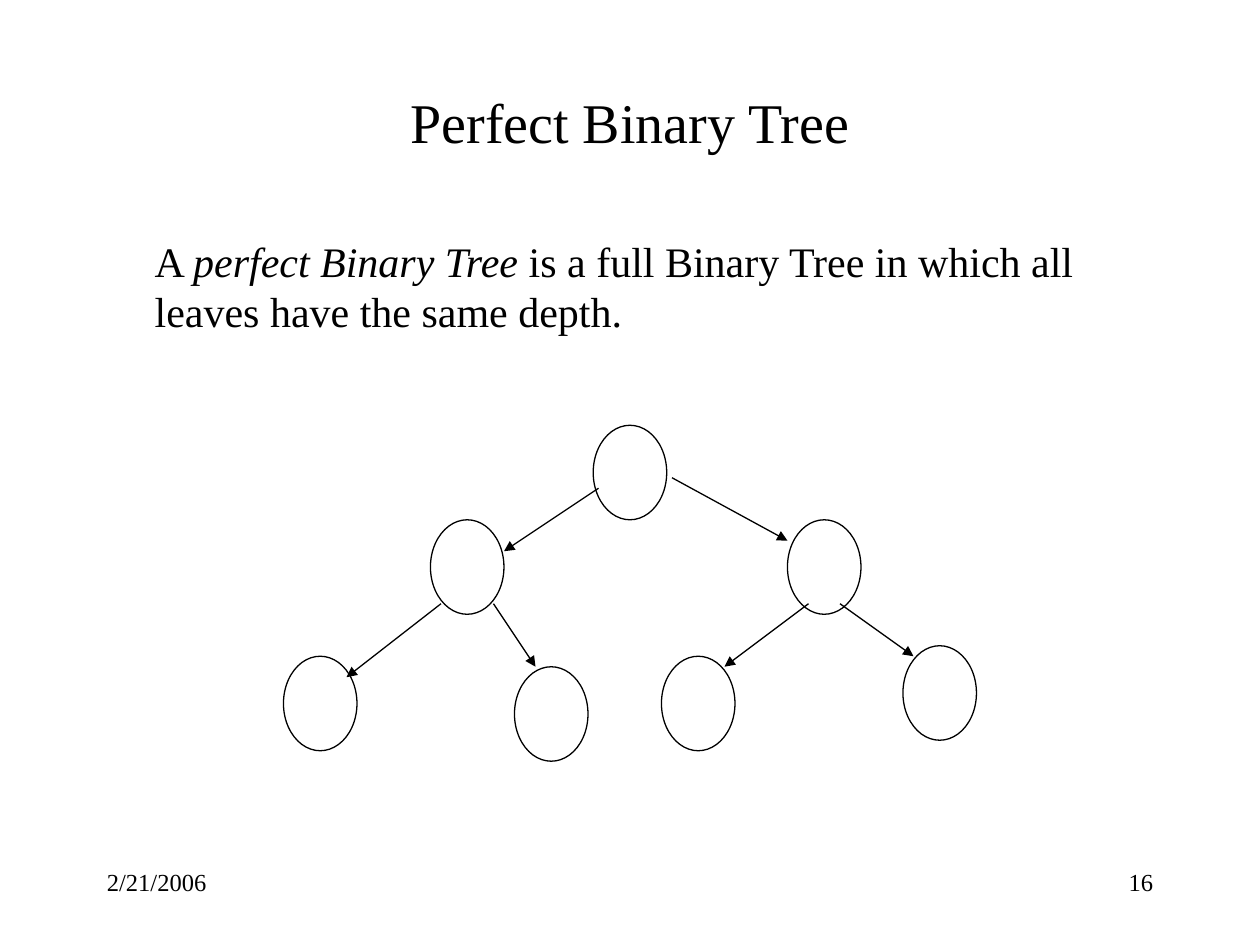
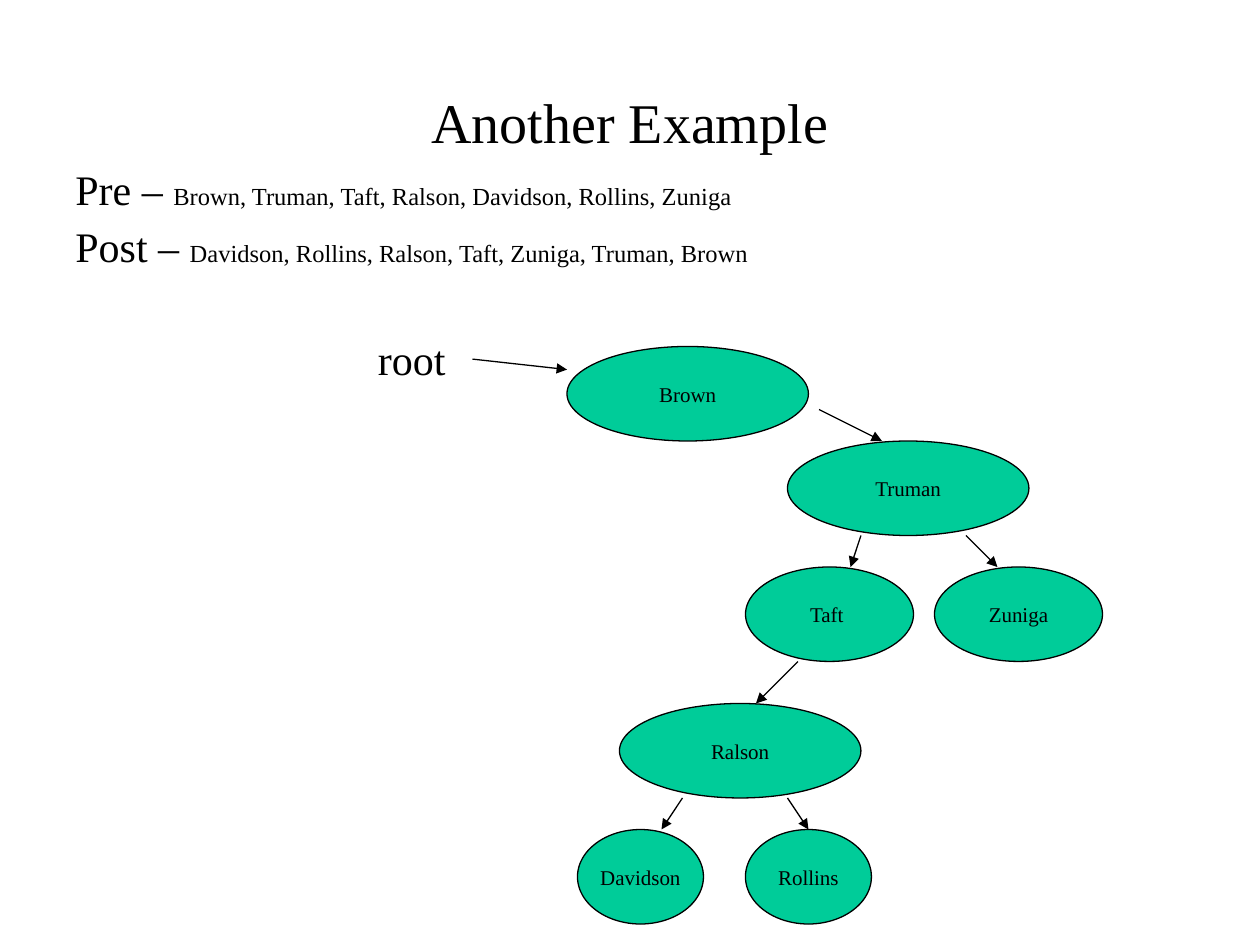
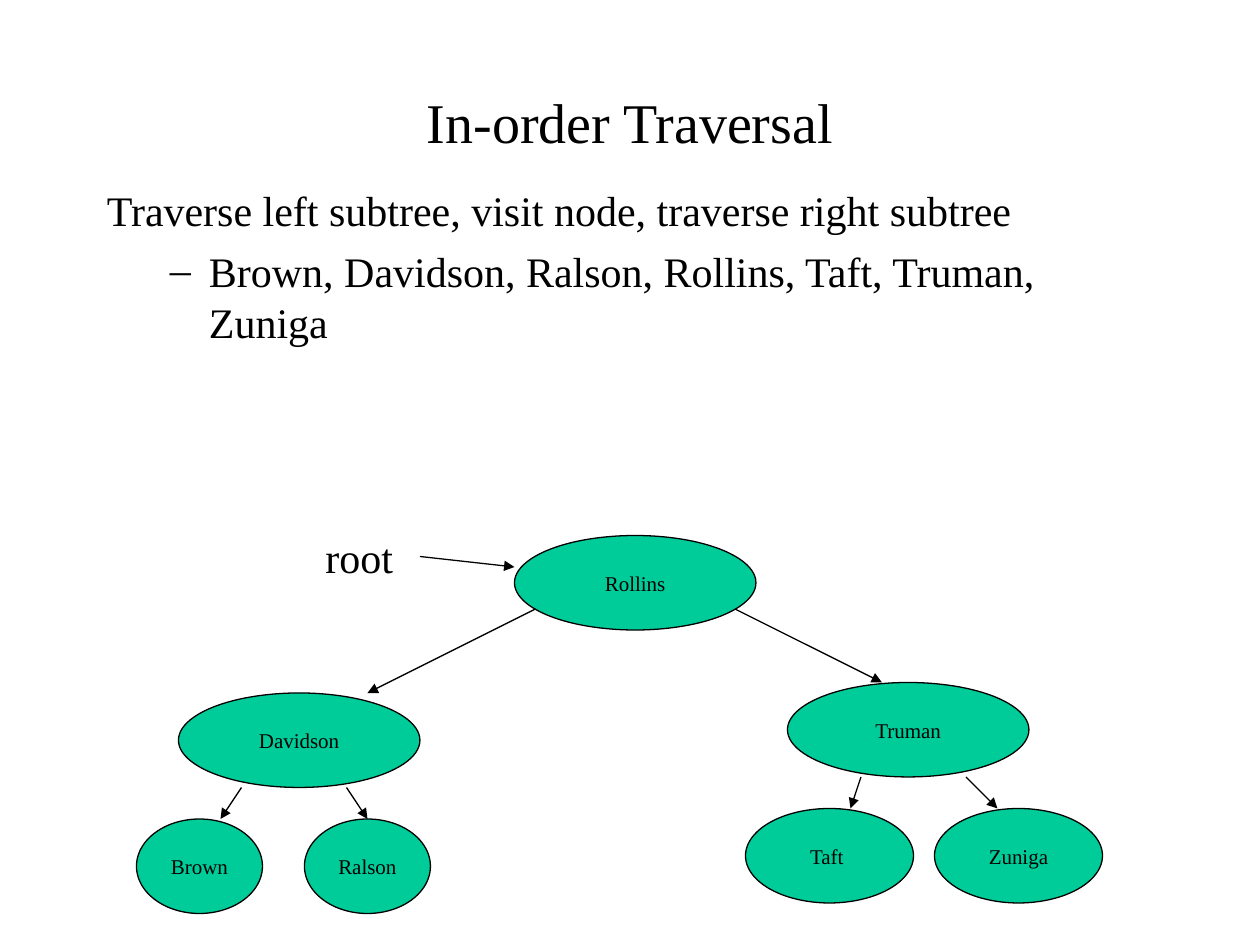
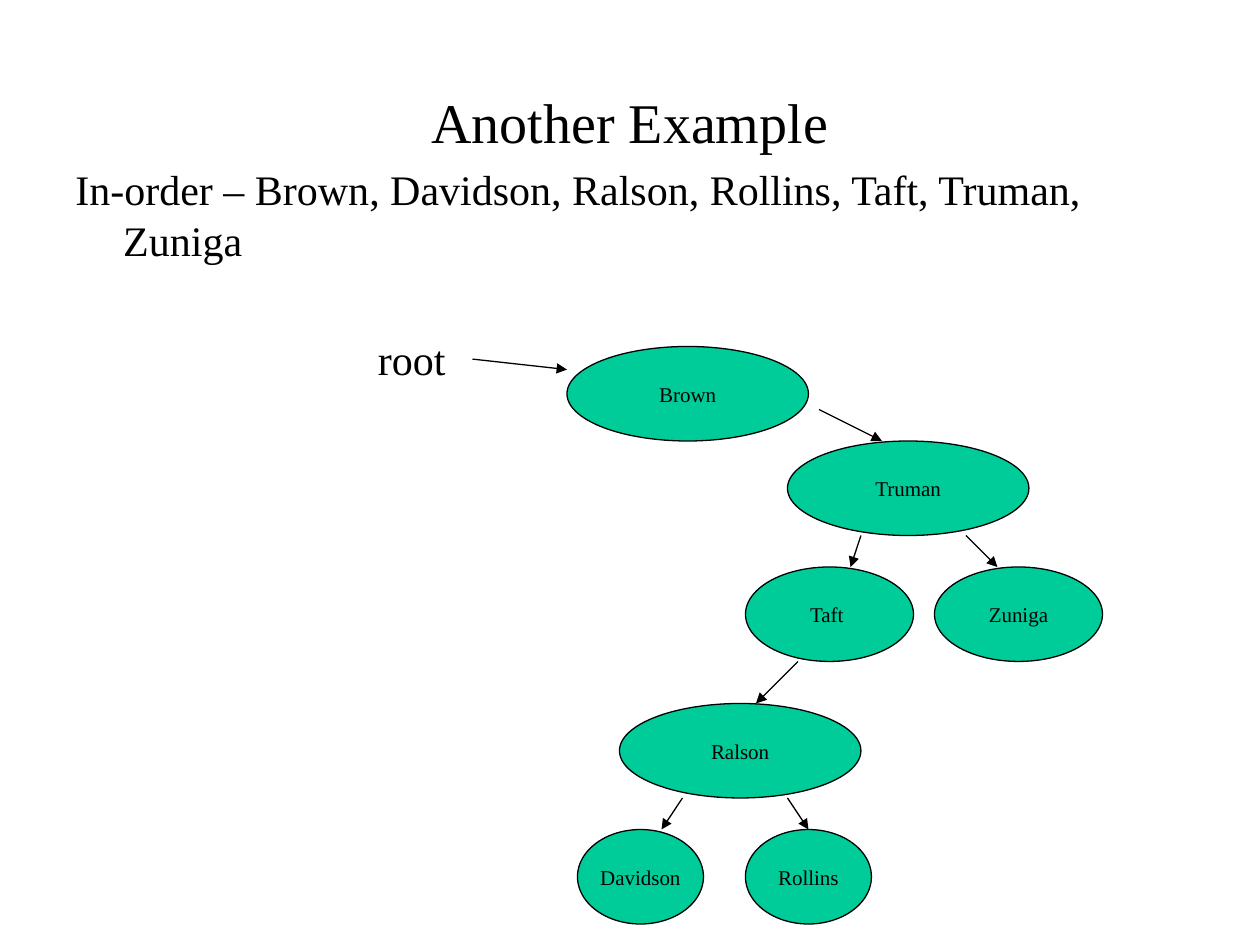
import pptx
import pptx.util
import pptx.dml.color
import pptx.enum.shapes
import pptx.enum.text
import pptx.oxml.ns
import lxml.etree

BLACK = pptx.dml.color.RGBColor(0x00, 0x00, 0x00)
GREEN = pptx.dml.color.RGBColor(0x00, 0xCC, 0x99)
FONT = "Times New Roman"
LEFT, CENTER, RIGHT = (pptx.enum.text.PP_ALIGN.LEFT, pptx.enum.text.PP_ALIGN.CENTER,
                       pptx.enum.text.PP_ALIGN.RIGHT)
TOP, MIDDLE = pptx.enum.text.MSO_ANCHOR.TOP, pptx.enum.text.MSO_ANCHOR.MIDDLE
GROW = pptx.enum.text.MSO_AUTO_SIZE.SHAPE_TO_FIT_TEXT
OVAL = pptx.enum.shapes.MSO_SHAPE.OVAL
STRAIGHT = pptx.enum.shapes.MSO_CONNECTOR.STRAIGHT
LINE_WIDTH = pptx.util.Pt(0.75)

deck = pptx.Presentation()
deck.slide_width = pptx.util.Inches(10)
deck.slide_height = pptx.util.Inches(7.5)

# Every place is given in cells of a grid of 120 columns and 90 rows
CELL = deck.slide_width // 120
NODE_HEIGHT = 9
WIDE, MEDIUM, SMALL = 23, 16, 12


def write(frame, paragraphs, align=LEFT, anchor=TOP, wrap=True, gap=0):
    """Fill a frame; each paragraph is a list of (text, size, italic) runs."""
    frame.word_wrap = wrap
    frame.vertical_anchor = anchor
    for number, runs in enumerate(paragraphs):
        paragraph = frame.add_paragraph() if number else frame.paragraphs[0]
        paragraph.alignment = align
        if number:
            paragraph.space_before = pptx.util.Pt(gap)
        for text, size, italic in runs:
            run = paragraph.add_run()
            run.text = text
            run.font.name = FONT
            run.font.size = pptx.util.Pt(size)
            run.font.italic = italic
            run.font.color.rgb = BLACK


def box(slide, col, row, cols, rows):
    area = [round(cell * CELL) for cell in (col, row, cols, rows)]
    return slide.shapes.add_textbox(*area).text_frame


# Subtrees: (child column shifts, child width, arrows relative to the parent)
SMALL_PAIR = ((-4, 12), SMALL, ((6, 9, 4, 12), (16, 9, 18, 12)))
MEDIUM_PAIR = ((-4, 14), MEDIUM, ((7, 9, 6, 12), (17, 9, 20, 12)))

# Trees: single nodes, single arrows, subtrees, start of the root arrow
perfect_tree = {
    "nodes": [("", col, row, 7) for col, row in (
        (56.5, 40.5), (41, 49.5), (75, 49.5), (27, 62.5), (49, 63.5), (63, 62.5), (86, 61.5))],
    "arrows": [(57, 46.5, 48, 52.5), (42, 57.5, 33, 64.5), (47, 57.5, 51, 63.5),
               (64, 45.5, 75, 51.5), (77, 57.5, 69, 63.5), (80, 57.5, 87, 62.5)],
    "subtrees": [],
    "root": None,
}
name_tree = {
    "nodes": [("Brown", 54, 33, WIDE)],
    "arrows": [(76, 63, 72, 67), (78, 39, 84, 42)],
    "subtrees": [("Truman", 75, 42, "Taft ", "Zuniga", MEDIUM_PAIR),
                 ("Ralson", 59, 67, "Davidson", "Rollins", SMALL_PAIR)],
    "root": (45, 34.2),
}
in_order_tree = {
    "nodes": [("Rollins", 49, 51, WIDE)],
    "arrows": [(51, 58, 35, 66), (70, 58, 84, 65)],
    "subtrees": [("Davidson", 17, 66, "Brown", "Ralson", SMALL_PAIR),
                 ("Truman", 75, 65, "Taft ", "Zuniga", MEDIUM_PAIR)],
    "root": (40, 53),
}

# Slides: title, body area, body paragraphs, gap between paragraphs, tree
lessons = [
    ("Perfect Binary Tree", (9, 17, 102, 18),
     [[("A ", 24, False), ("perfect Binary Tree", 24, True),
       (" is a full Binary Tree in which all leaves have the same depth.", 24, False)]],
     0, perfect_tree),
    ("Another Example", (6, 15, 108, 59.4),
     [[("Pre – ", 24, False),
       ("Brown, Truman, Taft, Ralson, Davidson, Rollins, Zuniga", 14, False)],
      [("Post – ", 24, False),
       ("Davidson, Rollins, Ralson, Taft, Zuniga, Truman, Brown", 14, False)]],
     3.5, name_tree),
    ("In-order Traversal", (9, 17, 102, 63),
     [[("Traverse left subtree, visit node, traverse right subtree", 24, False)],
      [("Brown, Davidson, Ralson, Rollins, Taft, Truman, Zuniga", 24, False)]],
     6, in_order_tree),
    ("Another Example", (6, 15, 108, 59.4),
     [[("In-order – Brown, Davidson, Ralson, Rollins, Taft, Truman, Zuniga", 24, False)]],
     0, name_tree),
]

for title, body_area, body_paragraphs, gap, tree in lessons:
    slide = deck.slides.add_slide(deck.slide_layouts[6])

    # Title and body
    write(box(slide, 9, 8, 102, 7), [[(title, 32, False)]], CENTER, MIDDLE)
    body = box(slide, *body_area)
    write(body, body_paragraphs, gap=gap)

    # Indents: a hanging first line, a dash list or a lowered definition
    for number, paragraph in enumerate(body.paragraphs):
        properties = paragraph._p.get_or_add_pPr()
        margin, indent = 0.38, -0.38
        if tree is perfect_tree:
            indent = 0
            body.margin_top = pptx.util.Inches(0.45)
        elif tree is in_order_tree and number:
            margin, indent = 0.81, -0.31
            lxml.etree.SubElement(properties, pptx.oxml.ns.qn("a:buFont"), typeface=FONT)
            lxml.etree.SubElement(properties, pptx.oxml.ns.qn("a:buChar"), char="–")
        properties.set("marL", str(pptx.util.Inches(margin)))
        properties.set("indent", str(pptx.util.Inches(indent)))

    # Spread the subtrees into nodes and arrows
    nodes, arrows = list(tree["nodes"]), list(tree["arrows"])
    for parent, col, row, left_child, right_child, pair in tree["subtrees"]:
        shifts, child_width, pair_arrows = pair
        nodes.append((parent, col, row, WIDE))
        for child, shift in zip((left_child, right_child), shifts):
            nodes.append((child, col + shift, row + 12, child_width))
        for x1, y1, x2, y2 in pair_arrows:
            arrows.append((col + x1, row + y1, col + x2, row + y2))

    # Root label with its arrow
    if tree["root"]:
        col, row = tree["root"]
        arrows.append((col, row, col + 9, row + 1))
        root_label = box(slide, col - 10.2, row - 3, 9, 6)
        write(root_label, [[("root", 24, False)]], wrap=False)
        root_label.auto_size = GROW

    # Nodes
    for name, col, row, width in nodes:
        area = [round(cell * CELL) for cell in (col, row, width, NODE_HEIGHT)]
        node = slide.shapes.add_shape(OVAL, *area)
        node.shadow.inherit = False
        node.line.color.rgb = BLACK
        node.line.width = LINE_WIDTH
        if name:
            node.fill.solid()
            node.fill.fore_color.rgb = GREEN
            write(node.text_frame, [[(name, 12, False)]], CENTER, MIDDLE, wrap=False)
        else:
            node.fill.background()

    # Arrows
    for ends in arrows:
        arrow = slide.shapes.add_connector(STRAIGHT, *[round(cell * CELL) for cell in ends])
        arrow.line.color.rgb = BLACK
        arrow.line.width = LINE_WIDTH
        lxml.etree.SubElement(arrow.line._get_or_add_ln(), pptx.oxml.ns.qn("a:tailEnd"),
                              type="triangle")
        lxml.etree.SubElement(arrow._element.spPr, pptx.oxml.ns.qn("a:effectLst"))

    # Date and slide number
    if tree is perfect_tree:
        write(box(slide, 9, 82, 25, 6), [[("2/21/2006", 14, False)]])
        write(box(slide, 86, 82, 25, 6), [[("16", 14, False)]], RIGHT)

deck.save("out.pptx")
